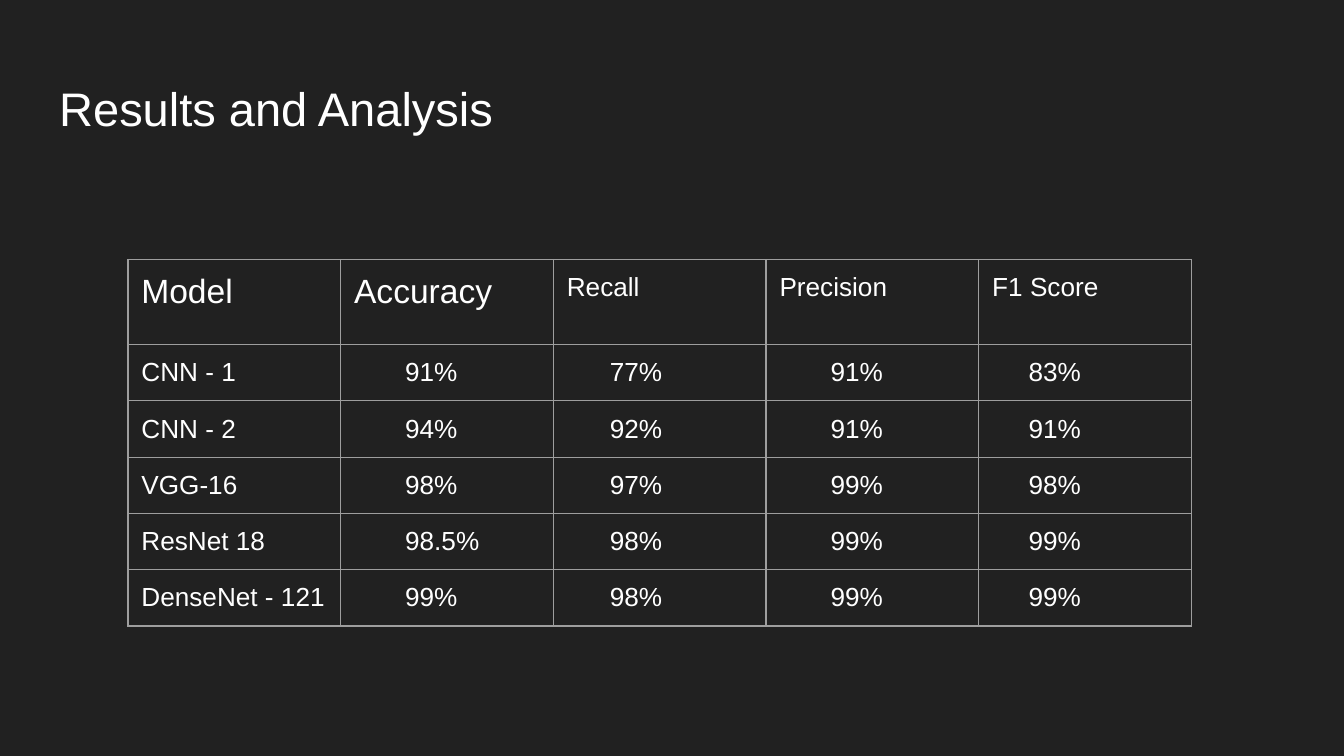
import pptx
import pptx.dml.color
import pptx.enum.text
import pptx.oxml
import pptx.oxml.ns
import pptx.util

HEADERS = [("Model", 18), ("Accuracy", 18), ("Recall", 14), ("Precision", 14), ("F1 Score", 14)]
RESULTS = [
    ("CNN - 1", "91%", "77%", "91%", "83%"),
    ("CNN - 2", "94%", "92%", "91%", "91%"),
    ("VGG-16", "98%", "97%", "99%", "98%"),
    ("ResNet 18", "98.5%", "98%", "99%", "99%"),
    ("DenseNet - 121", "99%", "98%", "99%", "99%"),
]
INDENTS = [0, 0.38, 0.32, 0.38, 0.27]


def color(value):
    return pptx.dml.color.RGBColor.from_string(value)


def write(tf, text, size=14, font="Arial", fill="FFFFFF", indent=0):
    p = tf.paragraphs[0]
    p.alignment = pptx.enum.text.PP_ALIGN.LEFT
    if indent:
        p._p.get_or_add_pPr().set("marL", str(pptx.util.Inches(indent)))
    r = p.add_run()
    r.text = text
    r.font.size = pptx.util.Pt(size)
    r.font.name = font
    r.font.color.rgb = color(fill)


class Deck:
    background = "212121"
    border = "9E9E9E"
    border_width = 0.75
    inset = pptx.util.Inches(0.1)

    def __init__(self, width, ratio):
        self.prs = pptx.Presentation()
        self.prs.slide_width = pptx.util.Inches(width)
        self.prs.slide_height = pptx.util.Inches(width * ratio)

    def x(self, percent):
        return round(self.prs.slide_width * percent / 100)

    def y(self, percent):
        return round(self.prs.slide_height * percent / 100)

    def add_slide(self):
        self.s = self.prs.slides.add_slide(self.prs.slide_layouts[5])
        fill = self.s.background.fill
        fill.solid()
        fill.fore_color.rgb = color(self.background)

    def pad(self, box):
        box.margin_left = box.margin_right = self.inset
        box.margin_top = box.margin_bottom = self.inset

    def title(self, text, left, top, width, height, size):
        sp = self.s.shapes.title
        sp.left, sp.top = self.x(left), self.y(top)
        sp.width, sp.height = self.x(width), self.y(height)
        tf = sp.text_frame
        tf.word_wrap = True
        tf.auto_size = pptx.enum.text.MSO_AUTO_SIZE.NONE
        tf.vertical_anchor = pptx.enum.text.MSO_ANCHOR.MIDDLE
        self.pad(tf)
        write(tf, text, size=size)

    def outline(self, cell):
        tcPr = cell._tc.get_or_add_tcPr()
        for i, side in enumerate(("lnL", "lnR", "lnT", "lnB")):
            tcPr.insert(i, pptx.oxml.parse_xml(
                f'<a:{side} {pptx.oxml.ns.nsdecls("a")} w="{pptx.util.Pt(self.border_width)}">'
                f'<a:solidFill><a:srgbClr val="{self.border}"/></a:solidFill></a:{side}>'))

    def table(self, headers, rows, indents, left, top, col_width, row_heights):
        table = self.s.shapes.add_table(
            len(rows) + 1, len(headers), self.x(left), self.y(top),
            self.x(col_width * len(headers)), self.y(sum(row_heights))).table
        table.first_row = table.horz_banding = False
        for col in table.columns:
            col.width = self.x(col_width)
        for row, height in zip(table.rows, row_heights):
            row.height = self.y(height)
        for cell in table.iter_cells():
            self.pad(cell)
            cell.fill.background()
            self.outline(cell)
        for c, (text, size) in enumerate(headers):
            write(table.cell(0, c).text_frame, text, size=size)
        for r, values in enumerate(rows, 1):
            for c, (text, indent) in enumerate(zip(values, indents)):
                write(table.cell(r, c).text_frame, text, indent=indent)


def main():
    deck = Deck(width=10, ratio=9 / 16)
    deck.add_slide()
    deck.title("Results and Analysis", 3.4, 8.65, 93.2, 11.2, size=25.2)
    deck.table(HEADERS, RESULTS, INDENTS, left=9.52, top=34.33, col_width=15.83,
               row_heights=[11.25] + [7.44] * len(RESULTS))
    deck.prs.save("out.pptx")


if __name__ == "__main__":
    main()
